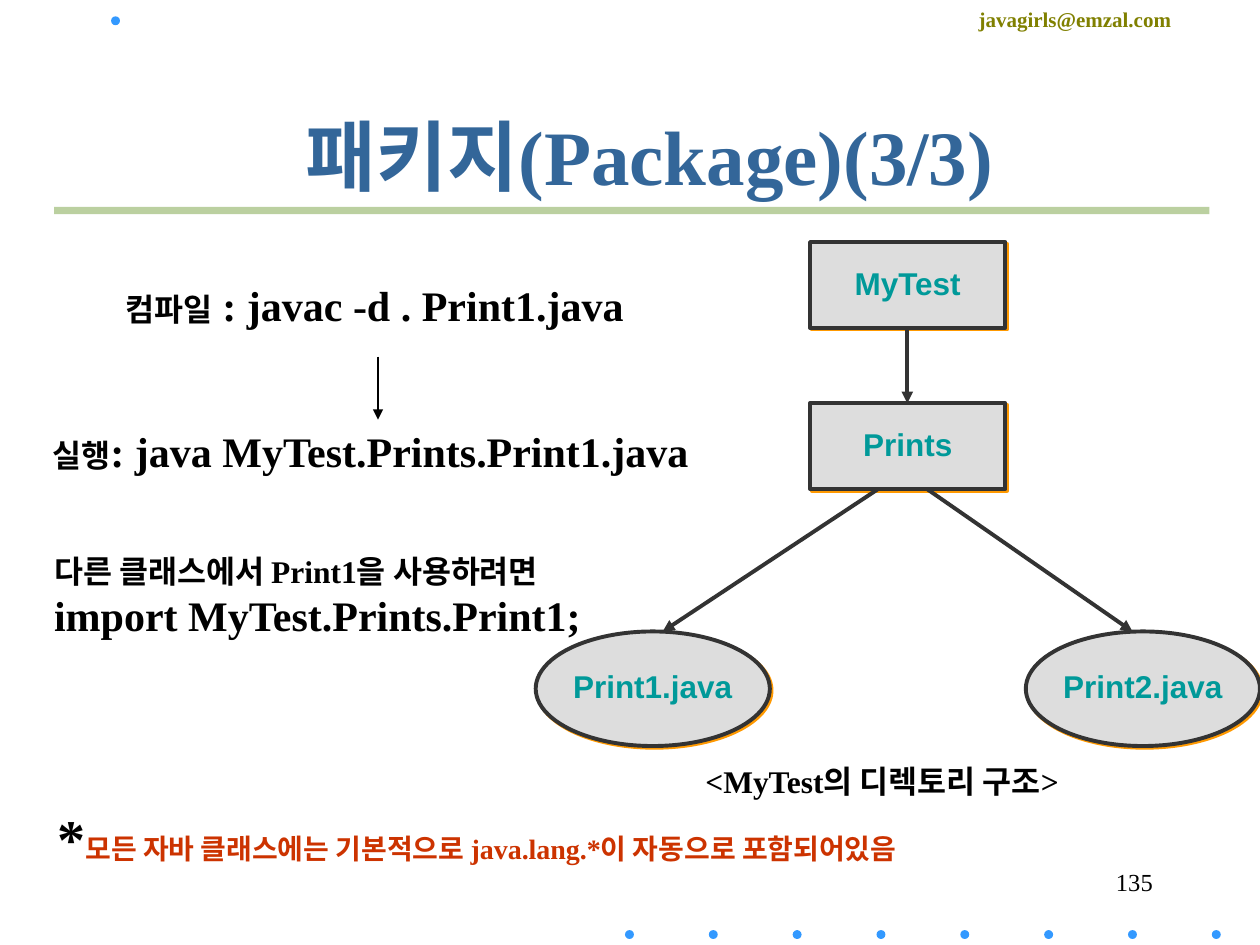
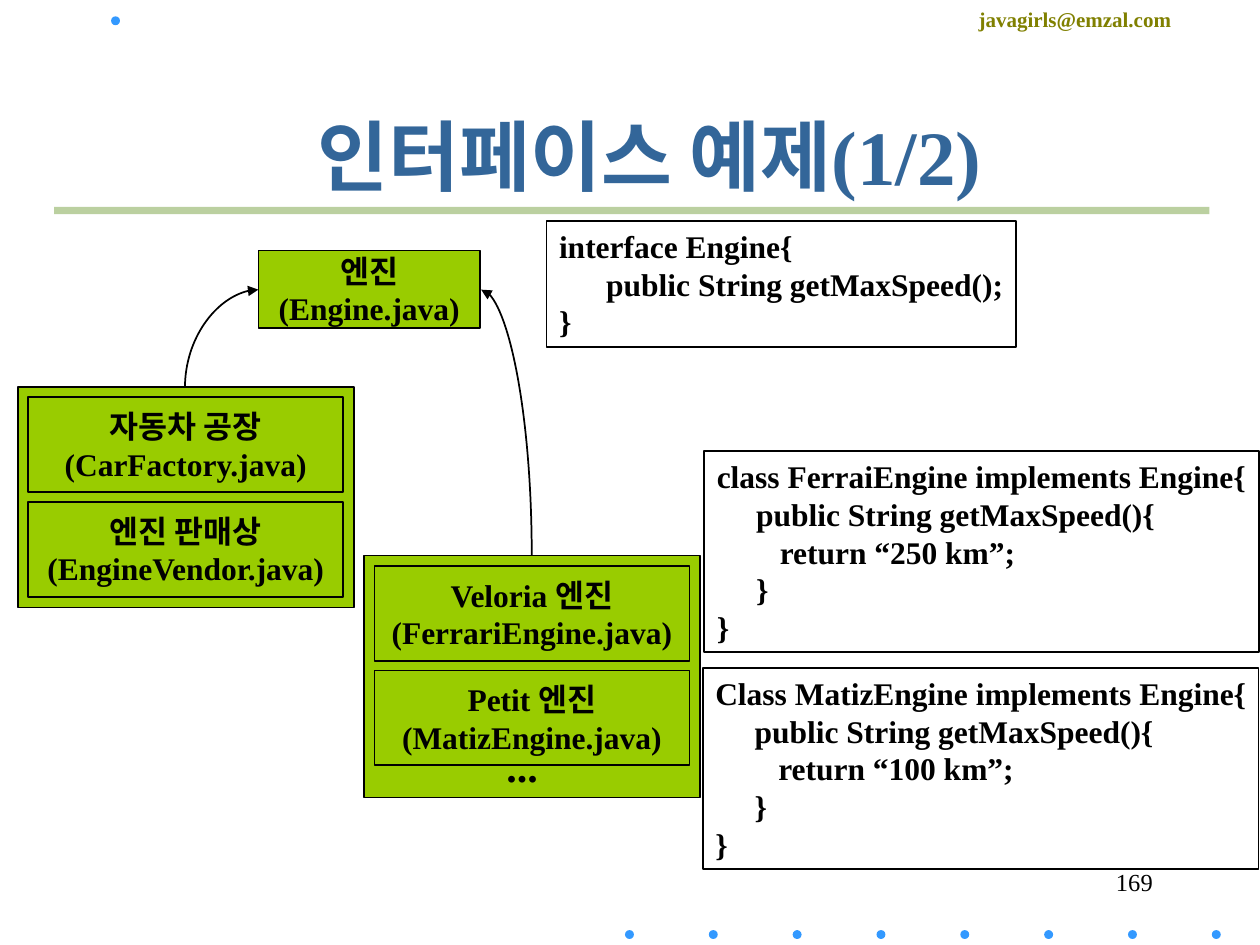
from lxml import etree
from pptx import Presentation
from pptx.dml.color import RGBColor
from pptx.enum import shapes, text
from pptx.oxml import ns
from pptx.util import Cm, Pt

HUES = {
    "dot": "3399FF", "mail": "808000", "rule": "BBD0A0", "title": "336699",
    "ink": "000000", "note": "CC3300", "node": "DDDDDD", "edge": "333333",
    "label": "009999", "glow": "FF9900", "card": "99CC00",
}
SERIF, SANS = "Times New Roman", "Arial"
RECT, OVAL = shapes.MSO_SHAPE.RECTANGLE, shapes.MSO_SHAPE.OVAL
LEFT, MID, RIGHT = text.PP_ALIGN.LEFT, text.PP_ALIGN.CENTER, text.PP_ALIGN.RIGHT


def hue(name):
    return RGBColor.from_string(HUES[name])


def add_xml(parent, tag, **attrs):
    return etree.SubElement(parent, ns.qn(tag), attrs)


def write(frame, paras, size=18, color="ink", face=SERIF, bold=True,
          align=LEFT, wrap=False, middle=False, lead=None):
    """Each paragraph is a string or a list of (text, size, colour) runs."""
    frame.word_wrap = wrap
    frame.vertical_anchor = text.MSO_ANCHOR.MIDDLE if middle else text.MSO_ANCHOR.TOP
    for i, para in enumerate(paras):
        p = frame.paragraphs[0] if i == 0 else frame.add_paragraph()
        p.alignment = align
        if lead:
            p.line_spacing = lead
        p.font.name, p.font.size, p.font.bold = face, Pt(size), bold
        p.font.color.rgb = hue(color)
        if isinstance(para, str):
            p.add_run().text = para
            continue
        for words, points, tint in para:
            run = p.add_run()
            run.text = words
            run.font.size = Pt(points)
            run.font.color.rgb = hue(tint)


def label(slide, x, y, w, h, paras, grow=False, **style):
    box = slide.shapes.add_textbox(Cm(x), Cm(y), Cm(w), Cm(h))
    write(box.text_frame, paras, **style)
    if grow:
        box.text_frame.auto_size = text.MSO_AUTO_SIZE.SHAPE_TO_FIT_TEXT


def block(slide, x, y, w, h, fill=None, line=None, width=1, kind=RECT):
    shape = slide.shapes.add_shape(kind, Cm(x), Cm(y), Cm(w), Cm(h))
    shape.shadow.inherit = False
    if fill:
        shape.fill.solid()
        shape.fill.fore_color.rgb = hue(fill)
    else:
        shape.fill.background()
    if line:
        shape.line.color.rgb = hue(line)
        shape.line.width = Pt(width)
    else:
        shape.line.fill.background()
    return shape


def arrow(slide, x1, y1, x2, y2, color="ink", width=1, curve=False):
    """Straight arrows point to the end; curved ones point to the start."""
    kind = shapes.MSO_CONNECTOR.CURVE if curve else shapes.MSO_CONNECTOR.STRAIGHT
    link = slide.shapes.add_connector(kind, Cm(x1), Cm(y1), Cm(x2), Cm(y2))
    link.line.color.rgb = hue(color)
    link.line.width = Pt(width)
    props = link._element.spPr
    if curve:
        props.find(ns.qn("a:prstGeom")).set("prst", "curvedConnector2")
    add_xml(link.line._get_or_add_ln(), "a:headEnd" if curve else "a:tailEnd",
            type="triangle")
    add_xml(props, "a:effectLst")


def node(slide, x, y, w, h, name, kind=RECT):
    shape = block(slide, x, y, w, h, "node", "edge", 2.25, kind)
    glow = add_xml(shape._element.spPr.find(ns.qn("a:effectLst")), "a:outerShdw",
                   dist=str(Pt(1.4)), dir="2700000", algn="ctr", rotWithShape="0")
    add_xml(glow, "a:srgbClr", val=HUES["glow"])
    write(shape.text_frame, [name], color="label", face=SANS, align=MID,
          middle=True, lead=0.9)


def card(slide, x, y, w, h, name, file):
    shape = block(slide, x, y, w, h, "card", "ink")
    write(shape.text_frame, [name, file], align=MID, middle=True)


def panel(slide, x, y, h, cards):
    block(slide, x, y, 6.78, h, "card", "ink")
    for i, (name, file) in enumerate(cards):
        card(slide, x + 0.21, y + 0.21 + 2.11 * i, 6.35, 1.91, name, file)


def code(slide, x, y, w, h, lines):
    write(block(slide, x, y, w, h, line="ink").text_frame, lines)


def engine(name, speed, gap=""):
    return [name + " implements Engine{", "     public String getMaxSpeed(){",
            f"{gap}\treturn “{speed} km”;", "     }", "}"]


def base(deck, title, number):
    slide = deck.slides.add_slide(deck.slide_layouts[6])
    # Dots, address and rule
    spots = [(12.6 + 1.69 * i, 18.75) for i in range(8)] + [(2.24, 0.33)]
    for x, y in spots:
        block(slide, x, y, 0.18, 0.18, "dot", kind=OVAL)
    label(slide, 19.48, 0, 5.92, 0.76, ["javagirls@emzal.com"], size=12,
          color="mail", wrap=True)
    block(slide, 1.09, 4.17, 23.29, 0.15, "rule")
    # Page number and title
    label(slide, 18.21, 17.35, 5.28, 1.27, [number], size=14, bold=False,
          align=RIGHT, wrap=True)
    label(slide, 1.9, 1.52, 22.4, 3.18, [title], size=44, color="title",
          align=MID, wrap=True, middle=True)
    return slide


def package(deck):
    slide = base(deck, "패키지(Package)(3/3)", "135")
    # Directory tree
    label(slide, 13.97, 15.24, 9.32, 1.07, ["<MyTest의 디렉토리 구조>"], wrap=True)
    for y, name in ((8.13, "Prints"), (4.88, "MyTest")):
        node(slide, 16.33, y, 3.94, 1.73, name)
    for x, name in ((20.68, "Print2.java"), (10.8, "Print1.java")):
        node(slide, x, 12.73, 4.72, 2.31, name, OVAL)
    for ends in ((18.29, 6.6, 18.29, 8.13), (17.7, 9.86, 13.36, 12.73),
                 (18.69, 9.86, 22.83, 12.73)):
        arrow(slide, *ends, color="edge", width=2.25)
    # Commands
    label(slide, 2.29, 5.51, 11, 1.27, [[
        ("컴파일", 18, "ink"), (" : javac -d . Print1.java", 24, "ink")]], grow=True)
    label(slide, 0.81, 8.46, 13.77, 1.27, [[
        ("실행", 18, "ink"), (": java MyTest.Prints.Print1.java", 24, "ink")]], grow=True)
    arrow(slide, 7.62, 7.19, 7.62, 8.46)
    label(slide, 0.84, 11, 11.2, 2.03, [
        "다른 클래스에서 Print1을 사용하려면",
        [("import MyTest.Prints.Print1;", 24, "ink")]], grow=True)
    label(slide, 0.91, 16.08, 18.14, 1.63, [[
        ("*", 32, "ink"),
        ("모든 자바 클래스에는 기본적으로 java.lang.*이 자동으로 포함되어있음",
         16, "note")]], grow=True)


def interface(deck):
    slide = base(deck, "인터페이스 예제(1/2)", "169")
    # Engine users and kinds
    panel(slide, 7.34, 11.2, 4.88, [("Veloria 엔진", "(FerrariEngine.java)"),
                                    ("Petit 엔진", "(MatizEngine.java)")])
    panel(slide, 0.36, 7.8, 4.45, [("자동차 공장", "(CarFactory.java)"),
                                   ("엔진 판매상", "(EngineVendor.java)")])
    card(slide, 5.21, 5.05, 4.47, 1.57, "엔진", "(Engine.java)")
    label(slide, 9.96, 14.81, 1.14, 1.27, ["..."], size=24, grow=True)
    arrow(slide, 5.21, 5.84, 3.73, 7.82, curve=True)
    arrow(slide, 9.7, 5.84, 10.72, 11.2, curve=True)
    # Code listings
    code(slide, 11.02, 4.45, 9.47, 2.54, [
        "interface Engine{", "      public String getMaxSpeed();", "}"])
    code(slide, 14.2, 9.09, 11.18, 4.06, engine("class FerraiEngine", 250))
    code(slide, 14.17, 13.46, 11.2, 4.06, engine("Class MatizEngine", 100, "     "))


def main():
    deck = Presentation()
    deck.slide_width, deck.slide_height = Cm(25.4), Cm(19.05)
    package(deck)
    interface(deck)
    deck.save("out.pptx")


if __name__ == "__main__":
    main()
